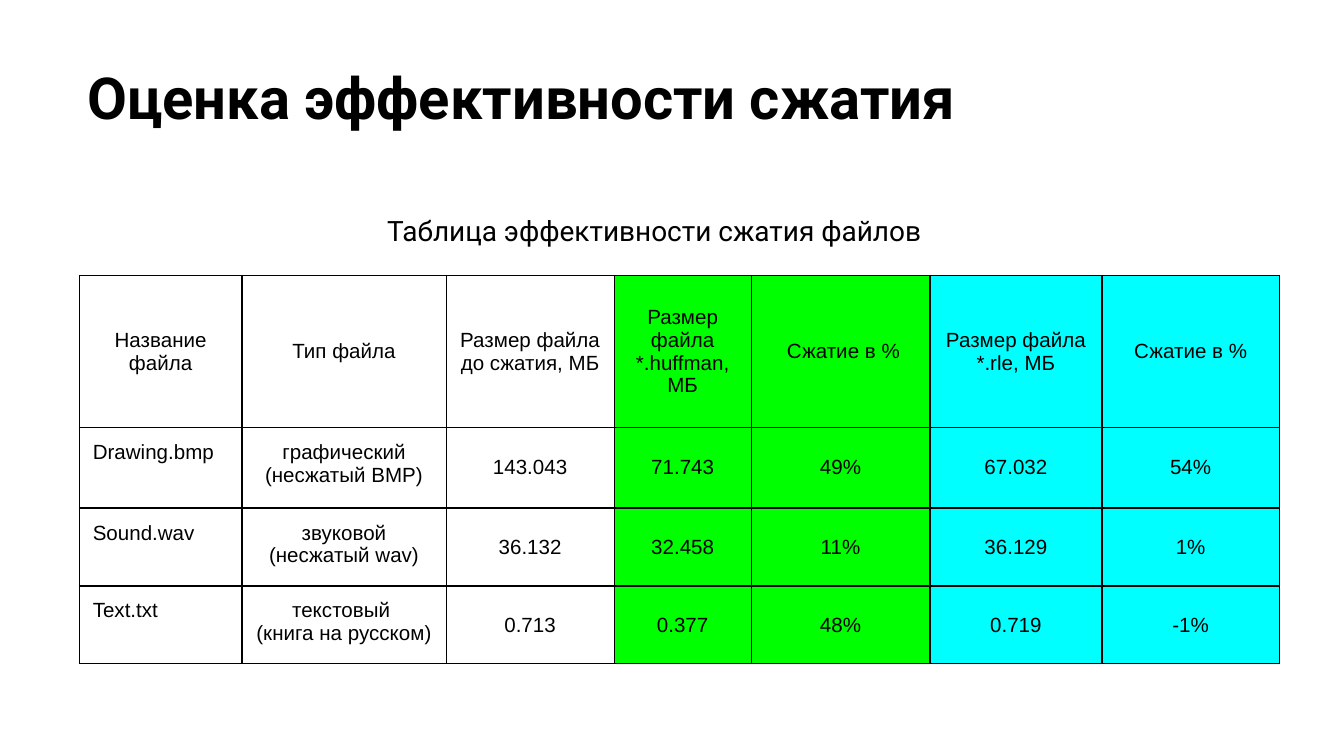
from pptx import Presentation
from pptx.dml.color import RGBColor
from pptx.enum.text import MSO_ANCHOR, MSO_AUTO_SIZE, PP_ALIGN
from pptx.oxml.ns import qn
from pptx.util import Inches, Pt
from lxml.etree import SubElement

BLACK = RGBColor(0, 0, 0)
GREEN = RGBColor(0, 255, 0)
CYAN = RGBColor(0, 255, 255)

# Content: a line break in a cell starts a new paragraph
TITLE = "Оценка эффективности сжатия"
CAPTION = "Таблица эффективности сжатия файлов"
ROWS = [
    ["Название файла", "Тип файла", "Размер файла до сжатия, МБ",
     "Размер файла *.huffman, МБ", " Сжатие в %",
     "Размер файла \n*.rle, МБ", "Сжатие в %"],
    ["Drawing.bmp", "графический (несжатый BMP)", "143.043",
     "71.743", "49%", "67.032", "54%"],
    ["Sound.wav", "звуковой\n(несжатый wav)", "36.132",
     "32.458", "11%", "36.129", "1%"],
    ["Text.txt", "текстовый \n(книга на русском)", "0.713",
     "0.377", "48%", "0.719", "-1%"],
]
WIDTHS = [1.21, 1.52, 1.25, 1.02, 1.33, 1.28, 1.32]
HEIGHTS = [1.13, 0.6, 0.58, 0.58]
FILLS = [None, None, None, GREEN, GREEN, CYAN, CYAN]


def add_run(para, text, size, font, bold=False):
    run = para.add_run()
    run.text = text
    run.font.size = Pt(size)
    run.font.name = font
    run.font.bold = bold
    run.font.color.rgb = BLACK


def place(holder, box):
    """Move a placeholder and return its first paragraph."""
    holder.left, holder.top, holder.width, holder.height = map(Inches, box)
    frame = holder.text_frame
    frame.word_wrap = True
    frame.auto_size = MSO_AUTO_SIZE.NONE
    frame.vertical_anchor = MSO_ANCHOR.TOP
    frame.margin_left = frame.margin_right = Inches(0.1)
    frame.margin_top = frame.margin_bottom = Inches(0.1)
    return frame.paragraphs[0]


def add_border(cell):
    props = cell._tc.get_or_add_tcPr()
    for n, side in enumerate(("lnL", "lnR", "lnT", "lnB")):
        line = props.makeelement(qn("a:" + side), {"w": str(Pt(0.75))})
        fill = SubElement(line, qn("a:solidFill"))
        SubElement(fill, qn("a:srgbClr"), val=str(BLACK))
        props.insert(n, line)


def fill_cell(cell, text, row, col):
    cell.margin_left = cell.margin_right = Inches(0.1)
    cell.margin_top = cell.margin_bottom = Inches(0.1)
    # File names and types sit at the top, all else in the middle
    high = row > 0 and col < 2
    cell.vertical_anchor = MSO_ANCHOR.TOP if high else MSO_ANCHOR.MIDDLE
    if FILLS[col] is None:
        cell.fill.background()
    else:
        cell.fill.solid()
        cell.fill.fore_color.rgb = FILLS[col]
    add_border(cell)
    frame = cell.text_frame
    for n, part in enumerate(text.split("\n")):
        para = frame.add_paragraph() if n else frame.paragraphs[0]
        left = row > 0 and col == 0
        para.alignment = PP_ALIGN.LEFT if left else PP_ALIGN.CENTER
        add_run(para, part, 11, "Arial")


# Widescreen slide, 16 to 9
deck = Presentation()
deck.slide_width, deck.slide_height = Inches(10), Inches(10 * 9 / 16)
slide = deck.slides.add_slide(deck.slide_layouts[1])

# Title
para = place(slide.shapes.title, (0.55, 0.36, 9.32, 0.83))
para.alignment = PP_ALIGN.LEFT
add_run(para, TITLE, 31, "Roboto", True)

# Caption, without a bullet
para = place(slide.placeholders[1], (2.2, 1.44, 5.34, 0.49))
para.alignment = PP_ALIGN.CENTER
para.line_spacing = 1.2
para.space_before = Pt(3)
props = para._p.get_or_add_pPr()
props.set("marL", "0")
props.set("indent", "0")
SubElement(props, qn("a:buNone"))
add_run(para, CAPTION, 15, "Roboto")

# Table
table = slide.shapes.add_table(
    len(ROWS), len(WIDTHS), Inches(0.59), Inches(2.05),
    Inches(sum(WIDTHS)), Inches(sum(HEIGHTS))).table
table.first_row = table.horz_banding = False
for col, width in zip(table.columns, WIDTHS):
    col.width = Inches(width)
for row, height in zip(table.rows, HEIGHTS):
    row.height = Inches(height)
for r, texts in enumerate(ROWS):
    for c, text in enumerate(texts):
        fill_cell(table.cell(r, c), text, r, c)

deck.save("out.pptx")
